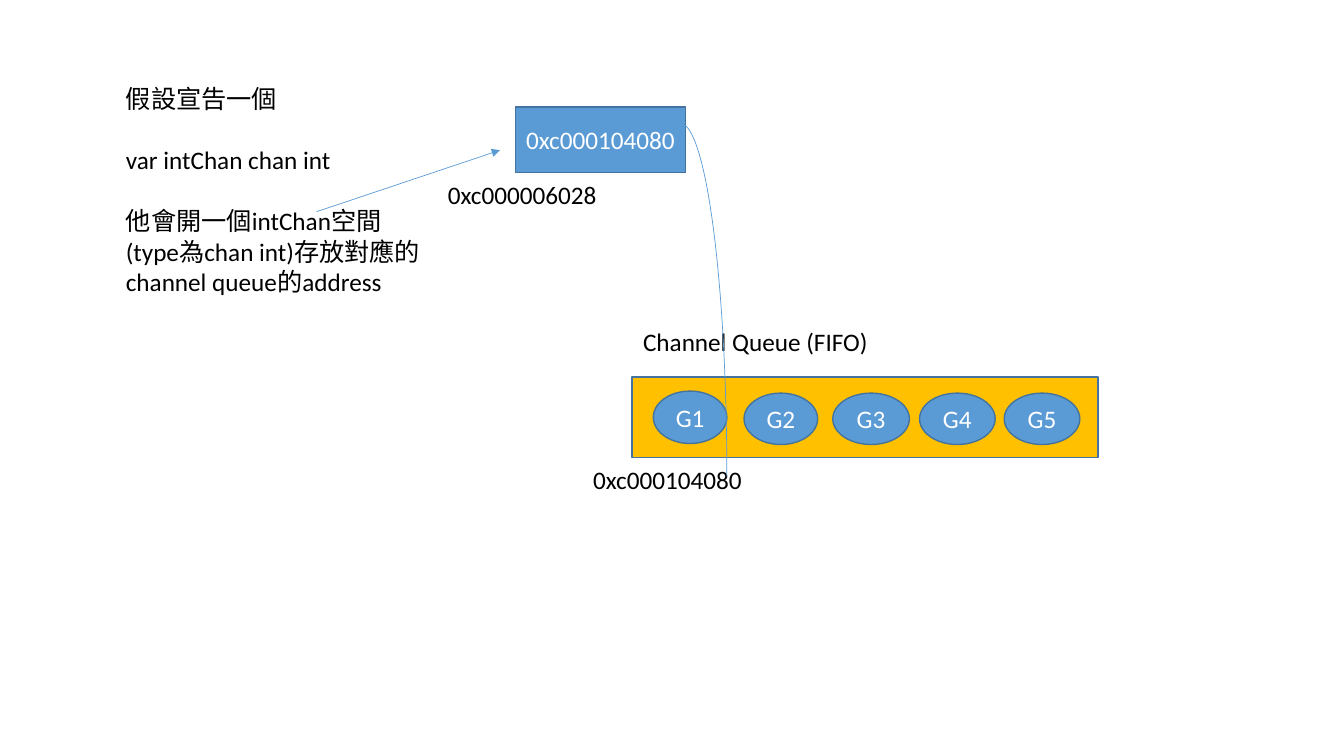
from dataclasses import dataclass

from lxml.etree import SubElement
from pptx import Presentation
from pptx.dml.color import RGBColor
from pptx.enum.shapes import MSO_CONNECTOR, MSO_SHAPE
from pptx.enum.text import MSO_ANCHOR, PP_ALIGN
from pptx.oxml.ns import qn
from pptx.util import Pt

PX = 9144  # EMU per px, 100 px to the inch


@dataclass(frozen=True)
class Theme:
    font: str = "Calibri"
    size: int = 18
    blank_line: int = 22
    outline: float = 1
    thin: float = 0.5
    blue: str = "5B9BD5"
    edge: str = "43739E"
    amber: str = "FFC000"
    white: str = "FFFFFF"
    black: str = "000000"


THEME = Theme()

# Goroutines waiting in the queue: left, top, width, height
GOROUTINES = {
    "G1": (648, 388, 73, 52),
    "G2": (738, 390, 73, 51),
    "G3": (826, 390, 76, 51),
    "G4": (912, 390, 75, 51),
    "G5": (996, 390, 75, 51),
}
EXPLANATION = (
    "假設宣告一個",
    "var intChan chan int",
    "他會開一個intChan空間(type為chan int)存放對應的channel queue的address",
)


def emu(*lengths):
    return [n * PX for n in lengths]


def rgb(value):
    return RGBColor.from_string(value)


def set_line(sp, color, width):
    sp.line.color.rgb = rgb(color)
    sp.line.width = Pt(width)


def write(tf, paragraphs, color, align):
    tf.word_wrap = True
    tf.text = "\n".join(paragraphs)
    for i, p in enumerate(tf.paragraphs):
        p.alignment = align
        if i:
            p.space_before = Pt(THEME.blank_line)
        for r in p.runs:
            r.font.name = THEME.font
            r.font.size = Pt(THEME.size)
            r.font.color.rgb = rgb(color)


def add_box(slide, kind, box, fill, label=None):
    sp = slide.shapes.add_shape(kind, *emu(*box))
    sp.shadow.inherit = False
    sp.fill.solid()
    sp.fill.fore_color.rgb = rgb(fill)
    set_line(sp, THEME.edge, THEME.outline)
    if label:
        sp.text_frame.vertical_anchor = MSO_ANCHOR.MIDDLE
        write(sp.text_frame, [label], THEME.white, PP_ALIGN.CENTER)


def add_text(slide, box, *paragraphs, align=PP_ALIGN.LEFT):
    sp = slide.shapes.add_textbox(*emu(*box))
    write(sp.text_frame, paragraphs, THEME.black, align)


def add_arrow(slide, start, end):
    sp = slide.shapes.add_connector(MSO_CONNECTOR.STRAIGHT, *emu(*start, *end))
    set_line(sp, THEME.blue, THEME.thin)
    SubElement(sp.line._get_or_add_ln(), qn("a:tailEnd"), type="triangle")
    SubElement(sp._element.spPr, qn("a:effectLst"))


def add_arc(slide, box, start_angle):
    sp = slide.shapes.add_shape(MSO_SHAPE.ARC, *emu(*box))
    sp.shadow.inherit = False
    sp.fill.background()
    set_line(sp, THEME.blue, THEME.thin)
    sp.adjustments[0] = start_angle * 0.6  # 60000 units per degree, scaled by 100000


def main():
    prs = Presentation()
    prs.slide_width, prs.slide_height = emu(1333, 750)
    slide = prs.slides.add_slide(prs.slide_layouts[6])

    # Channel queue with its goroutines
    add_box(slide, MSO_SHAPE.RECTANGLE, (627, 374, 462, 80), THEME.amber)
    for name, box in GOROUTINES.items():
        add_box(slide, MSO_SHAPE.OVAL, box, THEME.blue, name)
    add_text(slide, (628, 319, 246, 40), "Channel Queue (FIFO)")

    # Explanation pointing to the variable
    add_text(slide, (115, 78, 314, 222), *EXPLANATION)
    add_arrow(slide, (314, 210), (496, 149))

    # Variable holding the queue's address
    add_box(slide, MSO_SHAPE.RECTANGLE, (511, 106, 169, 65), THEME.blue, "0xc000104080")
    add_text(slide, (539, 456, 246, 40), "0xc000104080", align=PP_ALIGN.CENTER)
    add_arc(slide, (628, 122, 93, 702), 270.8)
    add_text(slide, (395, 173, 246, 40), "0xc000006028", align=PP_ALIGN.CENTER)

    prs.save("out.pptx")


if __name__ == "__main__":
    main()
